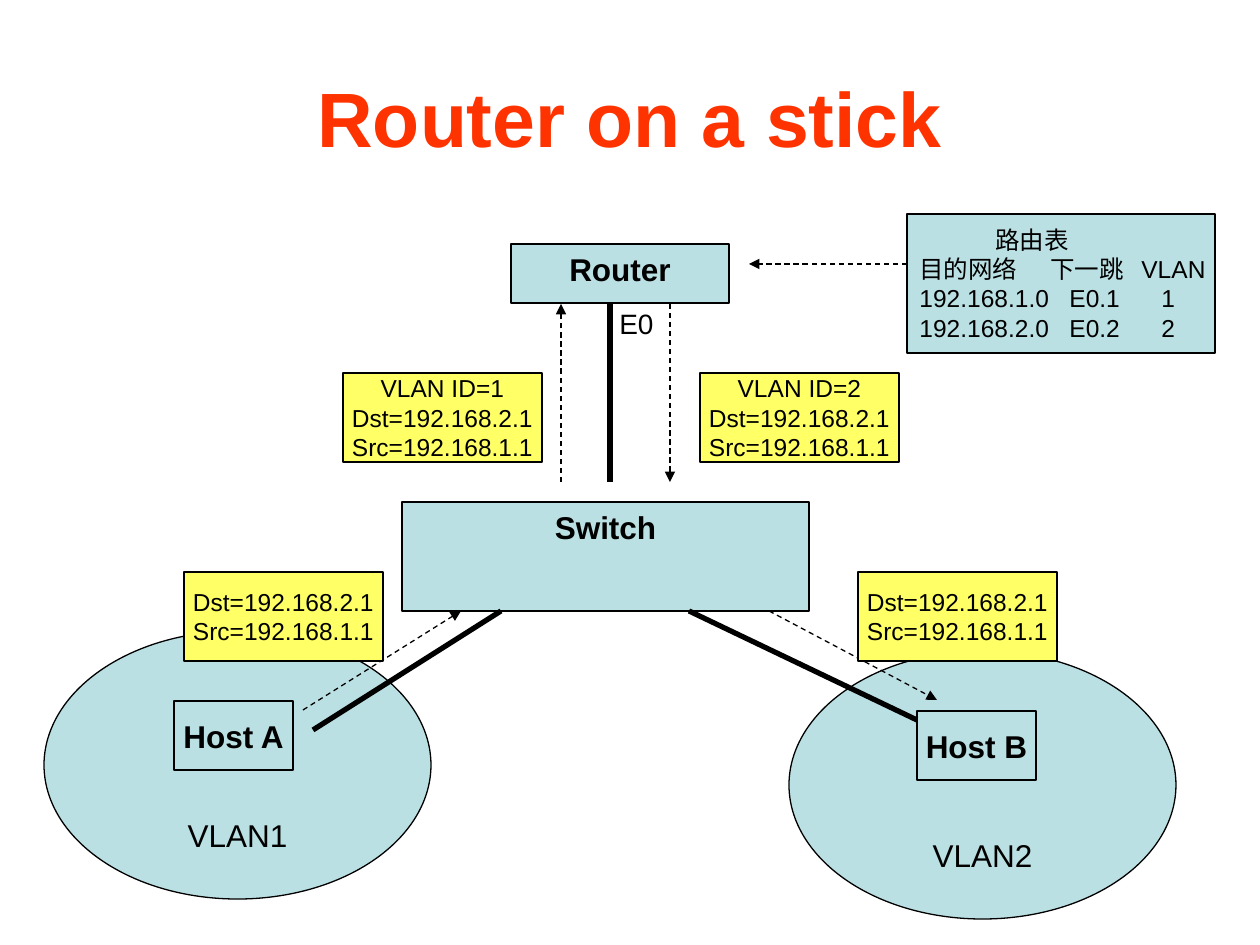
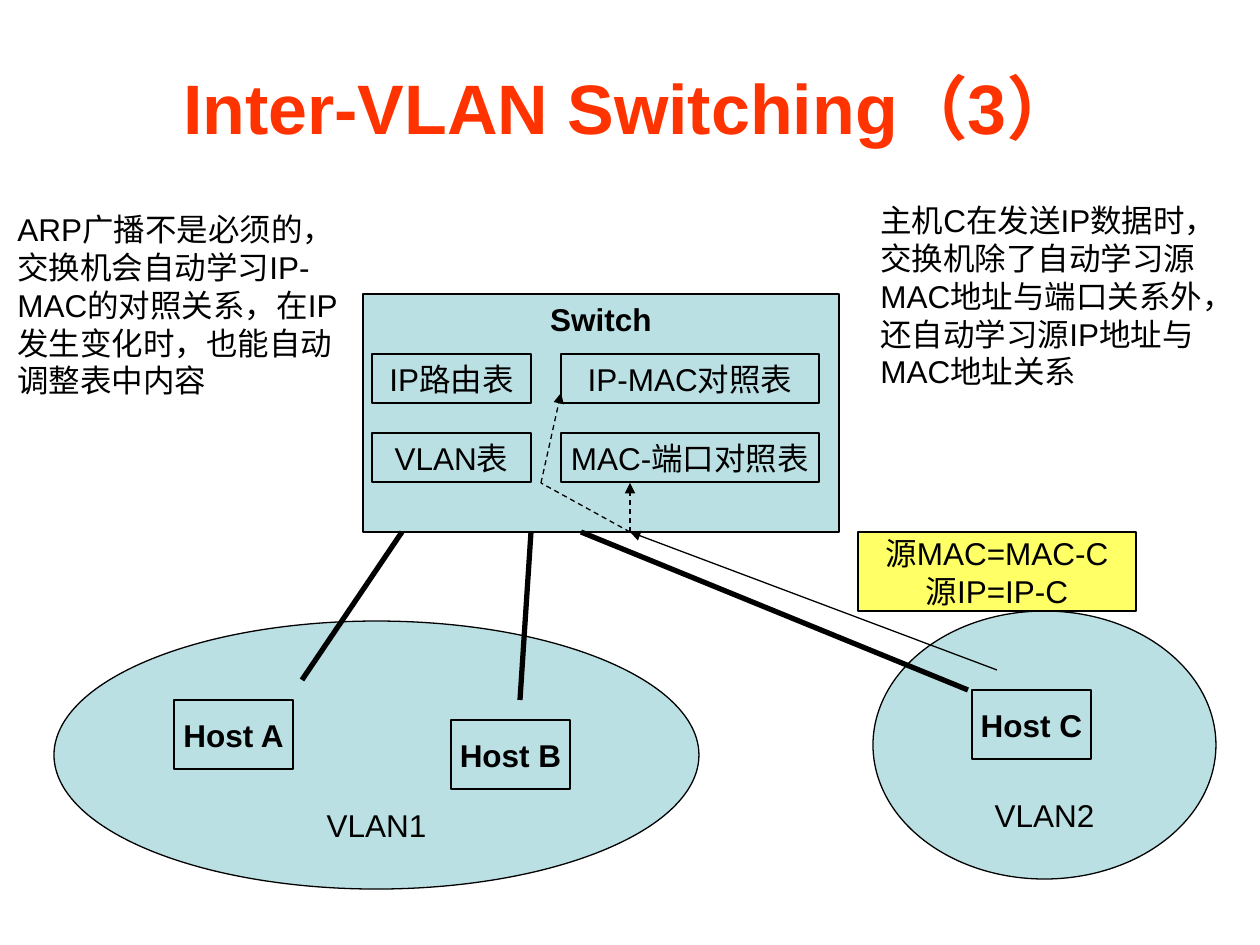
from dataclasses import dataclass

from lxml import etree
from pptx import Presentation
from pptx.dml.color import RGBColor
from pptx.enum.dml import MSO_LINE
from pptx.enum.shapes import MSO_CONNECTOR, MSO_SHAPE
from pptx.enum.text import MSO_ANCHOR, MSO_AUTO_SIZE, PP_ALIGN
from pptx.oxml.ns import qn
from pptx.util import Emu, Pt

RECTANGLE, ELLIPSE = MSO_SHAPE.RECTANGLE, MSO_SHAPE.OVAL
STRAIGHT = MSO_CONNECTOR.STRAIGHT
DASH = MSO_LINE.DASH
TOP, MIDDLE, BOTTOM = MSO_ANCHOR.TOP, MSO_ANCHOR.MIDDLE, MSO_ANCHOR.BOTTOM
LEFT, CENTER = PP_ALIGN.LEFT, PP_ALIGN.CENTER
FIXED, GROW = MSO_AUTO_SIZE.NONE, MSO_AUTO_SIZE.SHAPE_TO_FIT_TEXT
TITLE_ONLY = 5
PX_PER_INCH = 126


@dataclass(frozen=True)
class Theme:
    font: str = "Arial"
    ink: RGBColor = RGBColor(0x00, 0x00, 0x00)
    heading: RGBColor = RGBColor(0xFF, 0x33, 0x00)
    device: RGBColor = RGBColor(0xBB, 0xE0, 0xE3)
    packet: RGBColor = RGBColor(0xFF, 0xFF, 0x66)
    body: int = 18
    port: int = 16
    detail: int = 14
    thin: float = 0.75
    cable: float = 3


THEME = Theme()


@dataclass(frozen=True)
class Box:
    left: int
    top: int
    width: int
    height: int

    def inside(self, dx, dy, width, height):
        return Box(self.left + dx, self.top + dy, width, height)

    def point(self, dx, dy):
        return self.left + dx, self.top + dy

    def emu(self):
        return [px(n) for n in (self.left, self.top, self.width, self.height)]


PAGE = Box(0, 0, 1260, 945)


def px(length):
    return Emu(round(length * 914400 / PX_PER_INCH))


def apply(target, formats):
    for name, value in formats.items():
        setattr(target, name, value)


def set_tabs(para, stops):
    tabs = etree.SubElement(para._p.get_or_add_pPr(), qn("a:tabLst"))
    for stop in stops:
        etree.SubElement(tabs, qn("a:tab"), pos=str(px(stop)), algn="l")


def write(shape, lines, size=THEME.body, bold=False, color=THEME.ink,
          align=CENTER, tabs=(), **frame_formats):
    frame = shape.text_frame
    apply(frame, {"word_wrap": False, "vertical_anchor": MIDDLE, **frame_formats})
    for index, line in enumerate(lines):
        para = frame.add_paragraph() if index else frame.paragraphs[0]
        para.alignment = align
        if tabs:
            set_tabs(para, tabs[index])
        span = para.add_run()
        span.text = line
        apply(span.font, {"name": THEME.font, "size": Pt(size), "bold": bold})
        span.font.color.rgb = color


def block(page, box, lines, kind=RECTANGLE, fill=THEME.device, **text_formats):
    shape = page.shapes.add_shape(kind, *box.emu())
    shape.shadow.inherit = False
    shape.fill.solid()
    shape.fill.fore_color.rgb = fill
    shape.line.color.rgb = THEME.ink
    shape.line.width = Pt(THEME.thin)
    write(shape, lines, **text_formats)


def note(page, box, text, **text_formats):
    shape = page.shapes.add_textbox(*box.emu())
    write(shape, [text], align=LEFT, vertical_anchor=TOP, auto_size=GROW,
          **text_formats)


def wire(page, start, end, width=THEME.thin, dashed=True, arrow=True):
    line = page.shapes.add_connector(STRAIGHT, *map(px, start + end))
    line.line.color.rgb = THEME.ink
    line.line.width = Pt(width)
    if dashed:
        line.line.dash_style = DASH
    if arrow:
        etree.SubElement(line.line._ln, qn("a:tailEnd"), type="triangle")
    etree.SubElement(line._element.spPr, qn("a:effectLst"))


def cable(page, start, end):
    wire(page, start, end, width=THEME.cable, dashed=False, arrow=False)


def new_page(deck, title, size, height):
    page = deck.slides.add_slide(deck.slide_layouts[TITLE_ONLY])
    heading = page.shapes.title
    places = PAGE.inside(63, 38, 1134, height).emu()
    apply(heading, dict(zip(("left", "top", "width", "height"), places)))
    write(heading, [title], size=size, bold=True, color=THEME.heading,
          word_wrap=True, auto_size=FIXED)
    return page


def vlan(page, box, name, hosts):
    block(page, box, [name], kind=ELLIPSE, vertical_anchor=BOTTOM)
    for host, (dx, dy) in hosts.items():
        block(page, box.inside(dx, dy, 119, 69), [host], bold=True)


def device(page, box, name):
    block(page, box, [name], bold=True, vertical_anchor=TOP)


def packet(page, box, lines, size=THEME.detail):
    block(page, box, lines, fill=THEME.packet, size=size)


def routing_table(page, box):
    lines = ["\t路由表", "目的网络\t下一跳\tVLAN"]
    lines += [f"192.168.{n}.0\tE0.{n}\t{n}" for n in (1, 2)]
    block(page, box, lines, size=THEME.detail, align=LEFT, word_wrap=True,
          margin_right=0, tabs=[(76,), (131, 222), (150, 242), (150, 242)])
    wire(page, box.point(0, 50), box.point(-158, 50))


def trunk(page, box):
    middle = box.width // 2 - 5
    wire(page, box.point(0, box.height), box.point(0, 0))
    cable(page, box.point(middle, box.height), box.point(middle, 0))
    wire(page, box.point(box.width, 0), box.point(box.width, box.height))
    note(page, box.inside(46, -4, 59, 47), "E0", size=THEME.port)


def access_links(page, switch):
    base = switch.height
    wire(page, switch.point(-99, base + 99), switch.point(59, base))
    cable(page, switch.point(-89, base + 119), switch.point(99, base))
    cable(page, switch.point(515, base + 109), switch.point(287, base))
    wire(page, switch.point(367, base), switch.point(535, base + 89))


def packets(page, box):
    addresses = ["Dst=192.168.2.1", "Src=192.168.1.1"]
    stages = [(0, 199, []), (159, 0, ["VLAN ID=1"]),
              (516, 0, ["VLAN ID=2"]), (674, 199, [])]
    for dx, dy, tag in stages:
        packet(page, box.inside(dx, dy, 199, 89), tag + addresses)


def switch_tables(page, box):
    columns = [(9, 159, ["IP路由表", "VLAN表"]),
               (198, 258, ["IP-MAC对照表", "MAC-端口对照表"])]
    for dx, width, names in columns:
        for row, name in enumerate(names):
            block(page, box.inside(dx, 60 + 79 * row, width, 49), [name])


def learning_path(page, box):
    entry, bend = box.point(267, box.height), box.point(178, 189)
    wire(page, entry, box.point(267, 189))
    wire(page, entry, bend, arrow=False)
    wire(page, bend, box.point(198, 99))
    wire(page, box.point(634, 376), entry, dashed=False)


def host_cables(page, box):
    base = box.height
    for host, port in (((-61, 148), 39), ((157, 168), 168), ((605, 158), 218)):
        cable(page, box.point(host[0], base + host[1]), box.point(port, base))


def router_page(deck):
    page = new_page(deck, "Router on a stick", 44, 158)
    switch = PAGE.inside(402, 502, 407, 109)
    vlan(page, PAGE.inside(789, 651, 387, 268), "VLAN2", {"Host B": (128, 60)})
    device(page, switch, "Switch")
    vlan(page, PAGE.inside(44, 631, 387, 268), "VLAN1", {"Host A": (130, 70)})
    device(page, PAGE.inside(511, 244, 218, 59), "Router")
    access_links(page, switch)
    trunk(page, PAGE.inside(561, 304, 109, 178))
    routing_table(page, PAGE.inside(907, 214, 308, 139))
    packets(page, PAGE.inside(184, 373, 873, 288))


def switching_page(deck):
    page = new_page(deck, "Inter-VLAN Switching（3）", 40, 137)
    switch = PAGE.inside(363, 294, 476, 238)
    vlan(page, PAGE.inside(873, 611, 343, 268), "VLAN2", {"Host C": (99, 79)})
    vlan(page, PAGE.inside(54, 621, 645, 268), "VLAN1",
         {"Host A": (120, 79), "Host B": (397, 99)})
    device(page, switch, "Switch")
    switch_tables(page, switch)
    learning_path(page, switch)
    packet(page, PAGE.inside(858, 532, 278, 79),
           ["源MAC=MAC-C", "源IP=IP-C"], size=THEME.body)
    note(page, PAGE.inside(5, 204, 358, 202),
         "ARP广播不是必须的，交换机会自动学习IP-MAC的对照关系，"
         "在IP发生变化时，也能自动调整表中内容", word_wrap=True)
    note(page, PAGE.inside(868, 195, 358, 239),
         "主机C在发送IP数据时，交换机除了自动学习源MAC地址与端口关系外，"
         "还自动学习源IP地址与MAC地址关系", word_wrap=True)
    host_cables(page, switch)


def main():
    deck = Presentation()
    deck.slide_width, deck.slide_height = px(PAGE.width), px(PAGE.height)
    router_page(deck)
    switching_page(deck)
    deck.save("out.pptx")


if __name__ == "__main__":
    main()
